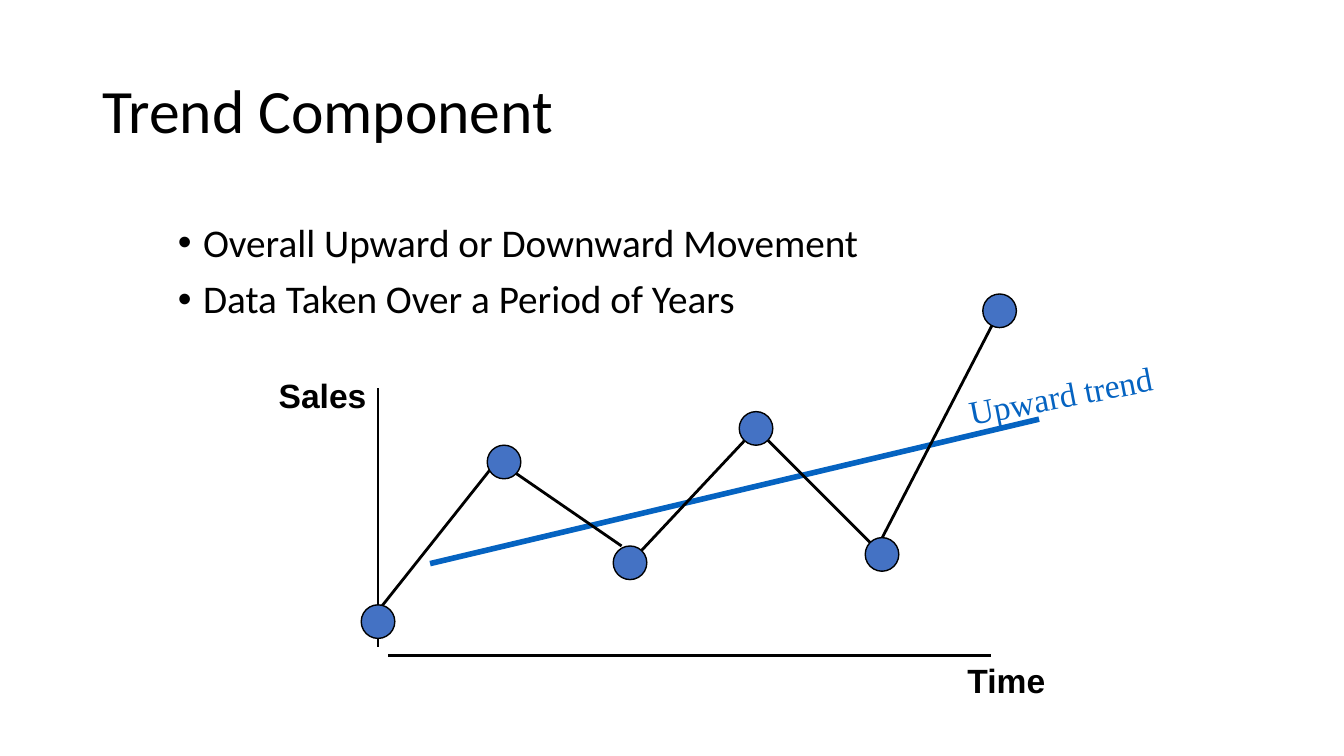
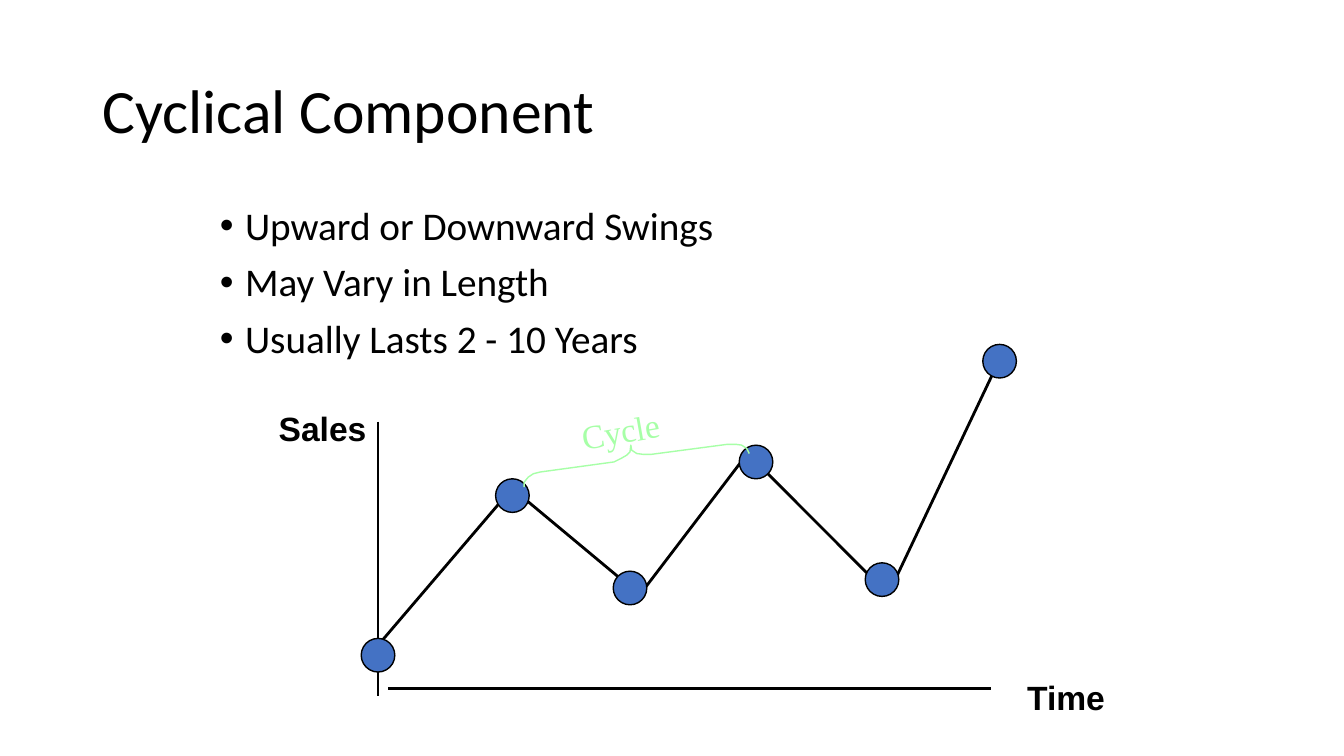
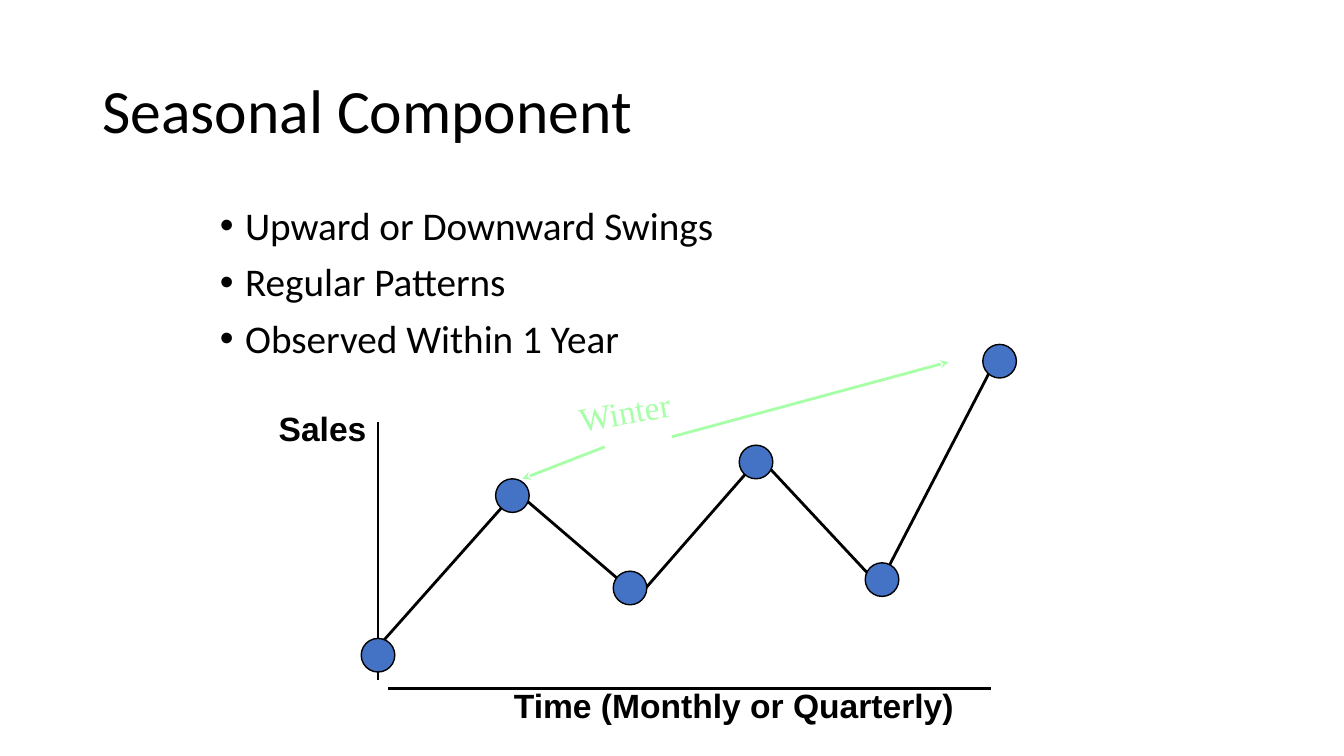
from dataclasses import dataclass

from lxml import etree
from pptx import Presentation
from pptx.dml.color import RGBColor
from pptx.enum.shapes import MSO_CONNECTOR, MSO_SHAPE
from pptx.enum.text import MSO_ANCHOR, PP_ALIGN
from pptx.oxml.ns import qn
from pptx.slide import Slide
from pptx.text.text import TextFrame
from pptx.util import Emu, Inches, Pt

STRAIGHT = MSO_CONNECTOR.STRAIGHT
OVAL = MSO_SHAPE.OVAL
MIDDLE = MSO_ANCHOR.MIDDLE
LEFT = PP_ALIGN.LEFT
CENTER = PP_ALIGN.CENTER

BLACK = RGBColor(0x00, 0x00, 0x00)
DOT_BLUE = RGBColor(0x44, 0x72, 0xC4)
TREND_BLUE = RGBColor(0x05, 0x63, 0xC1)
MINT = RGBColor(0xA7, 0xFF, 0xA7)

# Every position is in columns and rows of a 160 x 90 grid.
COLUMNS, ROWS = 160, 90
CELL = Inches(7.5) / ROWS
DOT_SIZE = 4
LABEL_HEIGHT = 6
AXIS_COLUMN = 45
TIME_START, TIME_END = 46.2, 118

Point = tuple[float, float]


@dataclass(frozen=True)
class Style:
    font: str
    size: int
    color: RGBColor = BLACK
    bold: bool = False


TITLE = Style("Calibri", 44)
BODY = Style("Calibri", 28)
AXIS = Style("Arial", 24, bold=True)
TREND_NOTE = Style("Times New Roman", 24, TREND_BLUE)
MINT_NOTE = Style("Times New Roman", 24, MINT)


@dataclass(frozen=True)
class Label:
    text: str
    column: float
    row: float
    width: float
    style: Style = AXIS
    rotation: int = 0
    align: PP_ALIGN = LEFT


@dataclass(frozen=True)
class Line:
    start: Point
    end: Point
    color: RGBColor = BLACK
    width: int = 2
    arrow: bool = False


@dataclass(frozen=True)
class Component:
    title: str
    bullets: list[str]
    bullets_at: Point
    sales_rows: Point
    time_row: float
    labels: list[Label]
    steps: list[Line]
    dots: list[Point]
    marks: list[Line]
    brace: list[Point]


SWING_DOTS = [(45, 78), (61, 59), (75, 70), (90, 55), (105, 69), (119, 43)]

COMPONENTS = [
    Component(
        title="Trend Component",
        bullets=["Overall Upward or Downward Movement",
                 "Data Taken Over a Period of Years"],
        bullets_at=(20, 26),
        sales_rows=(46.2, 77),
        time_row=78,
        labels=[Label("Sales", 32, 44, 19), Label("Time", 114, 78, 19),
                Label("Upward trend", 114, 43.9, 25.9, TREND_NOTE, 349)],
        steps=[Line((44, 74), (59, 55.1)), Line((61.2, 56.2), (74, 65)),
               Line((75, 67), (90, 51)), Line((91.2, 52.2), (104, 65)),
               Line((104, 66), (119, 37))],
        dots=[(45, 74), (60, 55), (75, 67), (90, 51), (105, 66), (119, 37)],
        marks=[Line((51.2, 67.1), (123.7, 49.9), TREND_BLUE, 4)],
        brace=[],
    ),
    Component(
        title="Cyclical Component",
        bullets=["Upward or Downward Swings", "May Vary in Length",
                 "Usually Lasts 2 - 10 Years"],
        bullets_at=(25, 24),
        sales_rows=(50.2, 82.8),
        time_row=82,
        labels=[Label("Sales", 32, 48, 19), Label("Time", 121.1, 80, 19),
                Label("Cycle", 68, 48, 15, MINT_NOTE, 350)],
        steps=[Line((44, 78), (61, 58.1)), Line((62, 59), (74, 69)),
               Line((76.1, 70.9), (88.9, 54.1)), Line((91.2, 56.2), (104, 69)),
               Line((106.1, 70), (118.9, 43))],
        dots=SWING_DOTS,
        marks=[],
        brace=[(89.2, 54), (88.9, 53.4), (88.3, 53), (87.6, 52.9),
               (86.6, 52.9), (77.5, 54.1), (76.6, 54.1), (75.8, 54),
               (75.2, 53.6), (75.1, 53), (75, 53.8), (74.6, 54.2),
               (73.9, 54.6), (73.1, 55), (64.3, 56.2), (63.5, 56.4),
               (62.9, 56.8), (62.4, 57.4), (62.4, 58)],
    ),
    Component(
        title="Seasonal Component",
        bullets=["Upward or Downward Swings", "Regular Patterns",
                 "Observed Within 1 Year"],
        bullets_at=(25, 24),
        sales_rows=(50.2, 81),
        time_row=82,
        labels=[Label("Sales", 32, 48, 19),
                Label("Time (Monthly or Quarterly)", 60, 81, 59),
                Label("Winter", 64.1, 46, 20.5, MINT_NOTE, 350, CENTER)],
        steps=[Line((45, 77), (61, 59)), Line((62, 59), (76, 71)),
               Line((76.1, 70.9), (90, 55)), Line((90, 54), (104, 69)),
               Line((105, 69), (119, 42))],
        dots=SWING_DOTS,
        marks=[Line((72, 53.2), (62.2, 57), MINT, arrow=True),
               Line((80, 52), (112.9, 43.1), MINT, arrow=True)],
        brace=[],
    ),
]


def cells(*counts: float) -> list[Emu]:
    """Turn grid counts into lengths."""
    return [Emu(round(count * CELL)) for count in counts]


def add_text(page: Slide, lines: list[str], area: tuple[float, ...],
             style: Style, rotation: int = 0) -> TextFrame:
    box = page.shapes.add_textbox(*cells(*area))
    box.rotation = rotation
    frame = box.text_frame
    frame.word_wrap = True
    frame.text = "\n".join(lines)
    for para in frame.paragraphs:
        font = para.font
        font.name, font.size, font.bold = style.font, Pt(style.size), style.bold
        font.color.rgb = style.color
    return frame


def add_title(page: Slide, text: str) -> None:
    frame = add_text(page, [text], (11, 4.8, 138, 17.4), TITLE)
    frame.vertical_anchor = MIDDLE
    frame.paragraphs[0].line_spacing = 0.9


def add_bullets(page: Slide, lines: list[str], at: Point) -> None:
    frame = add_text(page, lines, (*at, 115, 54), BODY)
    for para in frame.paragraphs:
        para.line_spacing = 0.9
        para.space_before = Pt(10)
        properties = para.font._element.getparent()
        properties.set("marL", str(Inches(0.25)))
        properties.set("indent", str(-Inches(0.25)))
        bullet_font = etree.Element(qn("a:buFont"), typeface="Arial")
        bullet = etree.Element(qn("a:buChar"), char="•")
        for part in (bullet_font, bullet):
            para.font._element.addprevious(part)


def add_label(page: Slide, label: Label) -> None:
    area = (label.column, label.row, label.width, LABEL_HEIGHT)
    frame = add_text(page, [label.text], area, label.style, label.rotation)
    frame.paragraphs[0].alignment = label.align


def add_line(page: Slide, line: Line) -> None:
    connector = page.shapes.add_connector(
        STRAIGHT, *cells(*line.start, *line.end))
    connector.line.color.rgb = line.color
    connector.line.width = Pt(line.width)
    if line.arrow:
        etree.SubElement(connector.line._get_or_add_ln(), qn("a:tailEnd"),
                         type="stealth")
    etree.SubElement(connector._element.spPr, qn("a:effectLst"))


def add_dot(page: Slide, center: Point) -> None:
    column, row = center
    dot = page.shapes.add_shape(OVAL, *cells(
        column - DOT_SIZE / 2, row - DOT_SIZE / 2, DOT_SIZE, DOT_SIZE))
    dot.shadow.inherit = False
    dot.fill.solid()
    dot.fill.fore_color.rgb = DOT_BLUE
    dot.line.color.rgb = BLACK
    dot.line.width = Pt(1)


def add_brace(page: Slide, points: list[Point]) -> None:
    start, *rest = [cells(*point) for point in points]
    builder = page.shapes.build_freeform(*start)
    builder.add_line_segments(rest, close=False)
    brace = builder.convert_to_shape()
    brace.shadow.inherit = False
    brace.fill.background()
    brace.line.color.rgb = MINT
    brace.line.width = Pt(1)


def add_component(page: Slide, component: Component) -> None:
    add_title(page, component.title)
    add_bullets(page, component.bullets, component.bullets_at)
    top, bottom = component.sales_rows
    axes = [Line((AXIS_COLUMN, top), (AXIS_COLUMN, bottom)),
            Line((TIME_START, component.time_row),
                 (TIME_END, component.time_row))]
    for line in axes + component.marks + component.steps:
        add_line(page, line)
    for center in component.dots:
        add_dot(page, center)
    if component.brace:
        add_brace(page, component.brace)
    for label in component.labels:
        add_label(page, label)


def main() -> None:
    deck = Presentation()
    deck.slide_width, deck.slide_height = cells(COLUMNS, ROWS)
    blank = deck.slide_layouts[6]
    for component in COMPONENTS:
        add_component(deck.slides.add_slide(blank), component)
    deck.save("out.pptx")


if __name__ == "__main__":
    main()
